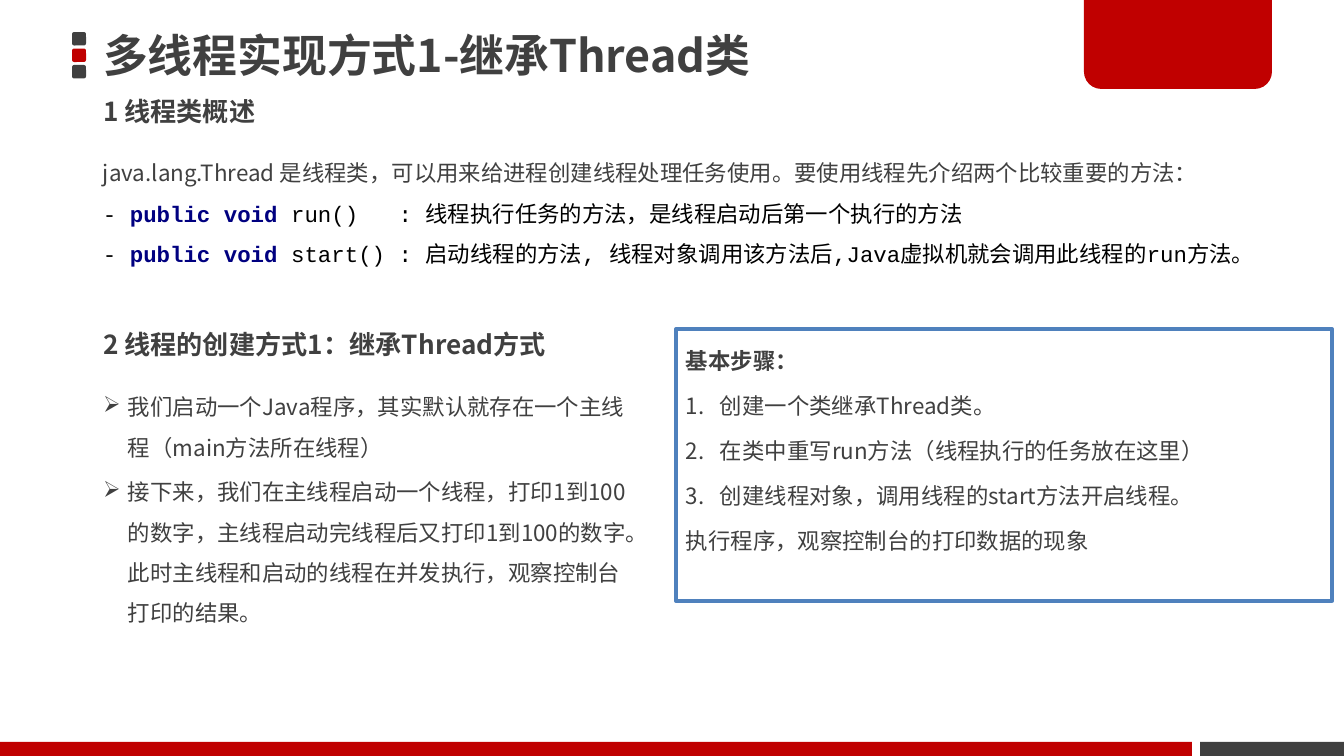
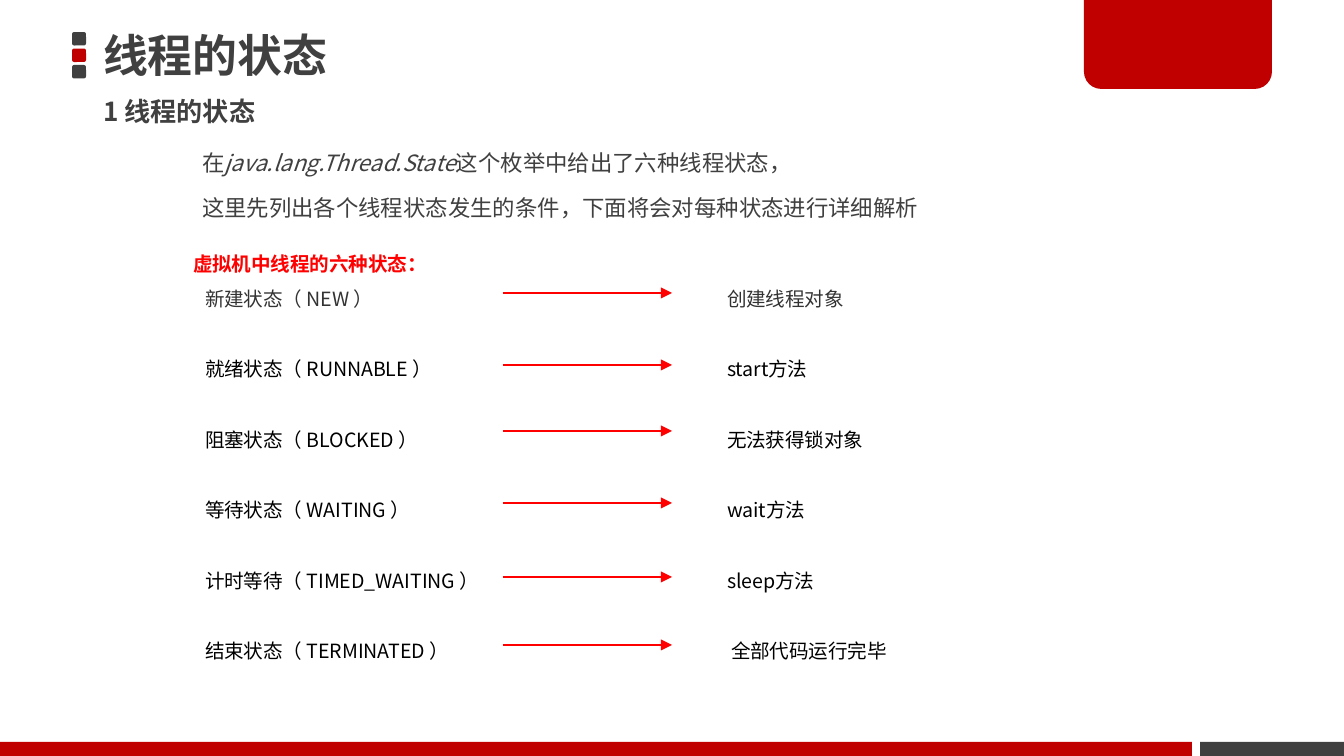
import dataclasses

import lxml.etree
import pptx
import pptx.dml.color
import pptx.enum.shapes
import pptx.enum.text
import pptx.oxml
import pptx.oxml.ns
import pptx.util

SHAPE = pptx.enum.shapes.MSO_SHAPE
ANCHOR = pptx.enum.text.MSO_ANCHOR
AUTO_SIZE = pptx.enum.text.MSO_AUTO_SIZE
qn = pptx.oxml.ns.qn

COLORS = {
    "dark": "404040", "brand": "C00000", "white": "FFFFFF", "black": "000000",
    "keyword": "000080", "border": "4F81BD", "alert": "FF0000", "gray": "333333",
}
JP, SC, CODE, MONO = "Noto Sans CJK JP", "Noto Sans CJK SC", "Courier New", "DejaVu Sans Mono"


@dataclasses.dataclass
class Style:
    size: float
    color: str = "dark"
    latin: str = JP
    asian: str = JP
    bold: bool = False
    italic: bool = False


@dataclasses.dataclass
class Line:
    runs: list
    before: float = 2.4
    spacing: float = 1.5
    left: int = 0
    hang: int = 0
    bullet: str = ""


STYLES = {
    "title": Style(24, bold=True),
    "heading": Style(14, bold=True),
    "body": Style(12),
    "strong": Style(12, bold=True),
    "italic": Style(12, italic=True),
    "code": Style(12, "black", CODE),
    "keyword": Style(12, "keyword", CODE, bold=True),
    "mono": Style(12, "black", MONO),
    "state": Style(10.5, "black", SC, SC),
    "first": Style(10.5, "gray", SC, SC),
    "alert": Style(10.5, "alert", SC, SC, bold=True),
}

TITLES = ["多线程实现方式1-继承Thread类", "线程的状态"]
HEADINGS = ["1 线程类概述", "1 线程的状态"]
CREATION_HEADING = "2 线程的创建方式1：继承Thread方式"
METHODS = [
    ("java.lang.Thread 是线程类，可以用来给进程创建线程处理任务使用。要使用线程先介绍两个比较重要的方法：\n", "body"),
    ("- ", "code"),
    ("public void ", "keyword"),
    ("run()   : 线程执行任务的方法，是线程启动后第一个执行的方法\n- ", "code"),
    ("public void ", "keyword"),
    ("start() : 启动线程的方法, 线程对象调用该方法后,Java", "code"),
    ("虚拟机就会调用此线程的", "mono"),
    ("run", "code"),
    ("方法。", "mono"),
]
CREATION = [
    "我们启动一个Java程序，其实默认就存在一个主线程（main方法所在线程）",
    "接下来，我们在主线程启动一个线程，打印1到100的数字，主线程启动完线程后又打印1到100的数字。"
    "此时主线程和启动的线程在并发执行，观察控制台打印的结果。",
]
STEPS_HEADING = "基本步骤："
STEPS = [
    "创建一个类继承Thread类。",
    "在类中重写run方法（线程执行的任务放在这里）",
    "创建线程对象，调用线程的start方法开启线程。",
]
STEPS_END = "执行程序，观察控制台的打印数据的现象"
STATES_INTRO = [
    [("在", "body"), ("java.lang.Thread.State", "italic"), ("这个枚举中给出了六种线程状态，", "body")],
    [("这里先列出各个线程状态发生的条件，下面将会对每种状态进行详细解析", "body")],
]
STATES_HEADING = "虚拟机中线程的六种状态："
STATES = [
    ("新建状态（ NEW ）", "创建线程对象", 293, 0),
    ("就绪状态（ RUNNABLE ）", "start方法", 365, 0),
    ("阻塞状态（ BLOCKED ）", "无法获得锁对象", 431, 0),
    ("等待状态（ WAITING ）", "wait方法", 503, 0),
    ("计时等待（ TIMED_WAITING ）", "sleep方法", 577, 0),
    ("结束状态（ TERMINATED ）", "全部代码运行完毕", 645, 4),
]
STATE_GAP = 18.9


def px(length):
    """Turn pixels into EMU."""
    return round(length * 914400 / 134.4)


def rgb(name):
    """Look up a palette colour."""
    return pptx.dml.color.RGBColor.from_string(COLORS[name])


def add_run(paragraph, text, style):
    """Append one formatted run."""
    run = paragraph.add_run()
    run.text = text
    font = run.font
    font.size = pptx.util.Pt(style.size)
    font.bold, font.italic = style.bold, style.italic
    font.color.rgb = rgb(style.color)
    font.name = style.latin
    latin = font._element.find(qn("a:latin"))
    asian = lxml.etree.Element(qn("a:ea"), typeface=style.asian)
    latin.addnext(asian)


def write(frame, lines, anchor=ANCHOR.TOP, inset=(10, 5), fit=AUTO_SIZE.NONE):
    """Fill a text frame with lines."""
    frame.word_wrap = True
    frame.auto_size = fit
    frame.vertical_anchor = anchor
    frame.margin_left = frame.margin_right = px(inset[0])
    frame.margin_top = frame.margin_bottom = px(inset[1])
    for index, line in enumerate(lines):
        paragraph = frame.add_paragraph() if index else frame.paragraphs[0]
        paragraph.alignment = pptx.enum.text.PP_ALIGN.LEFT
        paragraph.line_spacing = line.spacing
        paragraph.space_before = pptx.util.Pt(line.before)
        properties = paragraph._p.get_or_add_pPr()
        properties.set("marL", str(px(line.left)))
        properties.set("indent", str(px(-line.hang)))
        if line.bullet == "number":
            lxml.etree.SubElement(properties, qn("a:buAutoNum"), type="arabicPeriod")
        elif line.bullet:
            lxml.etree.SubElement(properties, qn("a:buChar"), char=line.bullet)
        for text, style in line.runs:
            for part_index, part in enumerate(text.split("\n")):
                if part_index:
                    paragraph.add_line_break()
                if part:
                    add_run(paragraph, part, STYLES[style])


def add_text(slide, box, lines, **options):
    """Add a text box with lines."""
    shape = slide.shapes.add_textbox(*map(px, box))
    write(shape.text_frame, lines, **options)


def add_block(slide, kind, box, fill, adjustments=()):
    """Add a plain filled shape."""
    shape = slide.shapes.add_shape(kind, *map(px, box))
    shape.shadow.inherit = False
    shape.fill.solid()
    shape.fill.fore_color.rgb = rgb(fill)
    shape.line.fill.background()
    for index, value in enumerate(adjustments):
        shape.adjustments[index] = value
    return shape


def add_arrow(slide, left, right, y):
    """Add a horizontal red arrow."""
    arrow = slide.shapes.add_connector(
        pptx.enum.shapes.MSO_CONNECTOR.STRAIGHT, px(left), px(y), px(right), px(y))
    arrow.line.color.rgb = rgb("alert")
    arrow.line.width = pptx.util.Pt(1.5)
    lxml.etree.SubElement(arrow.line._get_or_add_ln(), qn("a:tailEnd"), type="triangle")
    lxml.etree.SubElement(arrow.element.spPr, qn("a:effectLst"))


def decorate(layout, slide):
    """Build the shared bands and move them to the layout."""
    blocks = [
        add_block(slide, SHAPE.ROUNDED_RECTANGLE, (72, 32 + 16.5 * row, 14, 13.5), color, [0.17])
        for row, color in enumerate(("dark", "brand", "dark"))
    ]
    blocks += [
        add_block(slide, SHAPE.RECTANGLE, (1200, 742, 144, 14), "dark"),
        add_block(slide, SHAPE.ROUND_2_SAME_RECTANGLE, (1084, -2, 188, 91), "brand", [0, 0.19]),
        add_block(slide, SHAPE.RECTANGLE, (0, 742, 1192, 14), "brand"),
    ]
    for number, block in enumerate(blocks, 20):
        block.element.xpath(".//p:cNvPr")[0].set("id", str(number))
        layout.shapes.element.append(block.element)


def add_heading(slide, text, y):
    """Add a section heading."""
    line = Line([(text, "heading")], before=2.8, spacing=1)
    add_text(slide, (93, y, 548, 57), [line], anchor=ANCHOR.MIDDLE)


def add_slide(presentation, layout, title, heading):
    """Add a slide with its title and first heading."""
    slide = presentation.slides.add_slide(layout)
    shape = slide.shapes.title
    shape.left, shape.top, shape.width, shape.height = map(px, (93, 26, 966, 57))
    write(shape.text_frame, [Line([(title, "title")], before=0, spacing=1)], anchor=ANCHOR.MIDDLE)
    add_heading(slide, heading, 83)
    return slide


def fill_creation(slide):
    """Fill the slide on extending Thread."""
    add_text(slide, (93, 141, 1177, 140), [Line(METHODS)])
    add_heading(slide, CREATION_HEADING, 316)
    add_text(slide, (93, 375, 548, 267),
             [Line([(text, "body")], left=25, hang=25, bullet="➢") for text in CREATION])
    panel = add_block(slide, SHAPE.RECTANGLE, (676, 329, 656, 272), "white")
    panel.line.color.rgb = rgb("border")
    panel.line.width = pptx.util.Pt(2)
    steps = [Line([(text, "body")], left=34, hang=34, bullet="number") for text in STEPS]
    write(panel.text_frame,
          [Line([(STEPS_HEADING, "strong")]), *steps, Line([(STEPS_END, "body")])])


def fill_states(slide):
    """Fill the slide on thread states."""
    add_text(slide, (192, 131, 907, 89), [Line(runs) for runs in STATES_INTRO])
    names, causes = [Line([(STATES_HEADING, "alert")], before=0)], []
    for index, (name, cause, y, indent) in enumerate(STATES):
        style, gap = ("state", STATE_GAP) if index else ("first", 0)
        names.append(Line([(name, style)], before=gap, left=12))
        causes.append(Line([(cause, style)], before=gap, left=indent))
        add_arrow(slide, 503, 672, y)
    options = {"inset": (13, 7), "fit": AUTO_SIZE.SHAPE_TO_FIT_TEXT}
    add_text(slide, (180, 233, 366, 441), names, **options)
    add_text(slide, (714, 268, 366, 406), causes, **options)


def main():
    """Build and save the presentation."""
    presentation = pptx.Presentation()
    presentation.slide_width, presentation.slide_height = px(1344), px(756)
    layout = presentation.slide_layouts[5]
    slides = [add_slide(presentation, layout, title, heading)
              for title, heading in zip(TITLES, HEADINGS)]
    decorate(layout, slides[0])
    fill_creation(slides[0])
    fill_states(slides[1])
    presentation.save("out.pptx")


if __name__ == "__main__":
    main()
